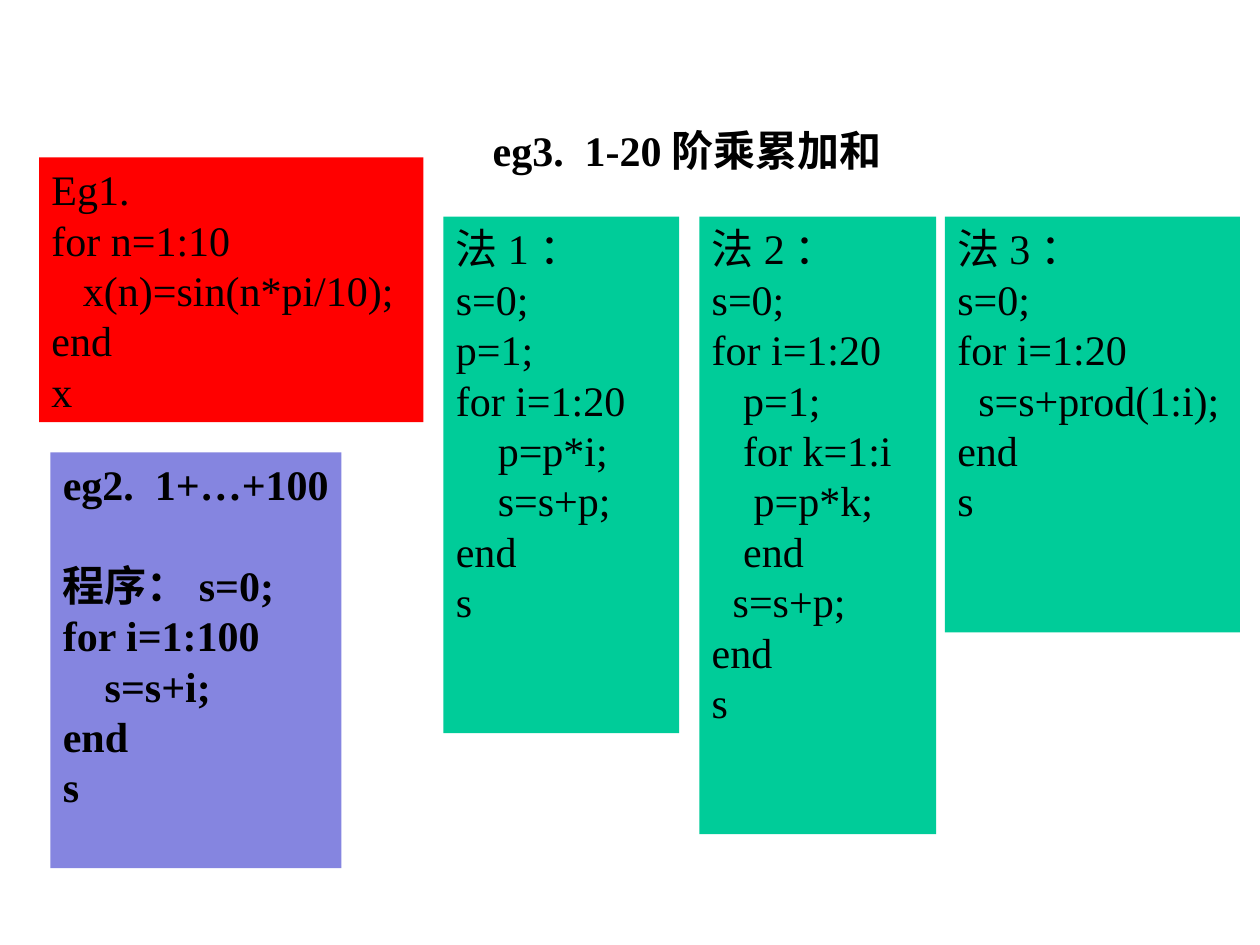
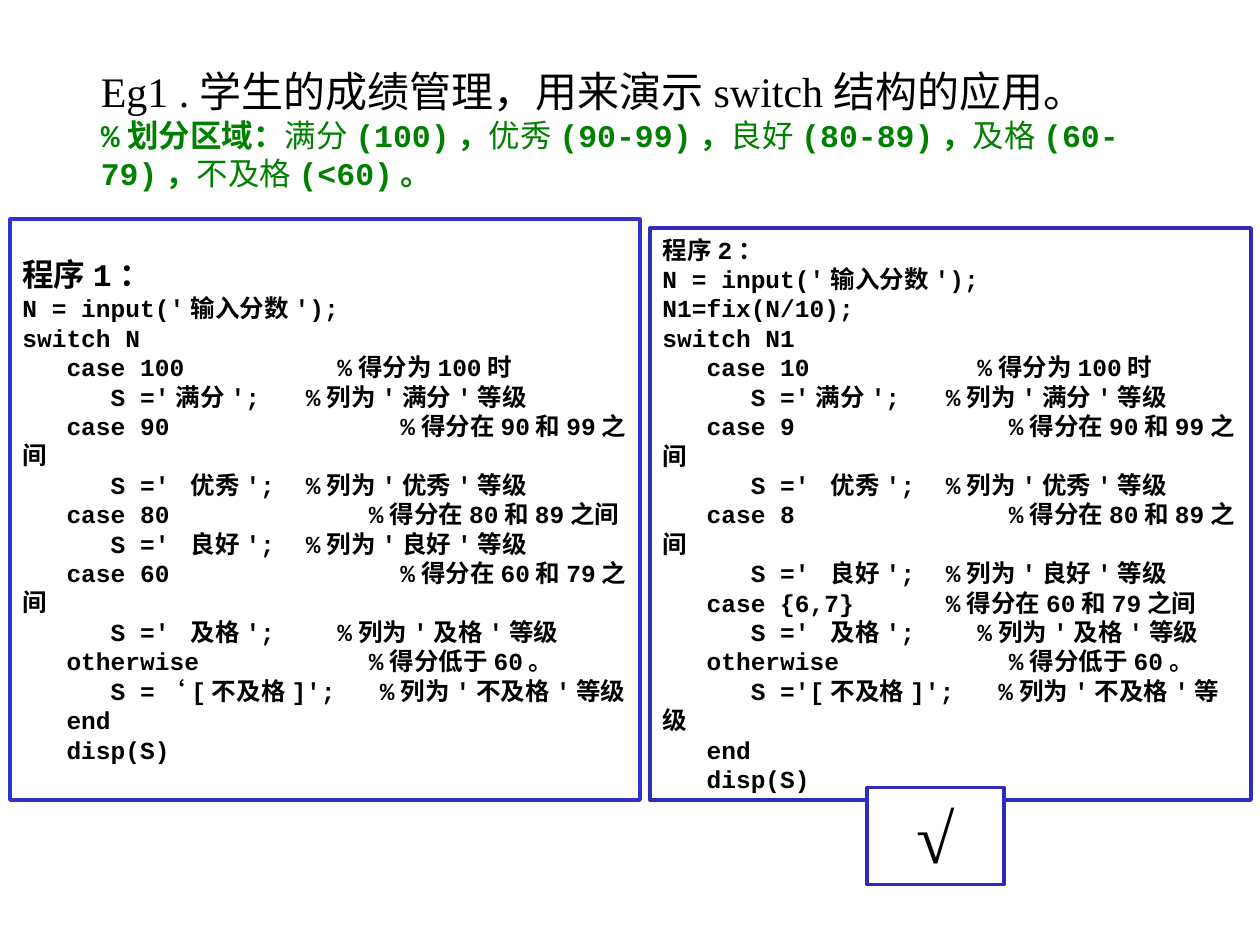
from lxml import etree
from pptx import Presentation
from pptx.dml.color import RGBColor
from pptx.enum.shapes import MSO_SHAPE
from pptx.enum.text import MSO_ANCHOR, MSO_AUTO_SIZE, PP_ALIGN
from pptx.oxml.ns import qn
from pptx.util import Inches, Pt

RECT = MSO_SHAPE.RECTANGLE
TOP, MIDDLE = MSO_ANCHOR.TOP, MSO_ANCHOR.MIDDLE
LEFT, CENTER = PP_ALIGN.LEFT, PP_ALIGN.CENTER
FIXED = MSO_AUTO_SIZE.NONE
SERIF, MONO = "Times New Roman", "Courier New"
TITLE_ONLY = 5
TAB_STEP, TAB_COUNT = 0.25, 16

COLORS = {
    "ink": "000000",
    "paper": "FFFFFF",
    "red": "FF0000",
    "violet": "8585E0",
    "teal": "00CC99",
    "green": "008000",
    "blue": "3333CC",
    "navy": "2D2DB9",
}


def color(name):
    return RGBColor.from_string(COLORS[name])


class Deck:
    """Holds the shared style and the current slide."""

    def __init__(self):
        self.prs = Presentation()
        self.prs.slide_width = Inches(10)
        self.prs.slide_height = Inches(7.5)
        self.slide = None

    def new(self):
        layout = self.prs.slide_layouts[TITLE_ONLY]
        self.slide = self.prs.slides.add_slide(layout)

    def style(self, run, size, font=SERIF, bold=False, ink="ink"):
        run.font.name = font
        run.font.size = Pt(size)
        run.font.bold = bold
        run.font.color.rgb = color(ink)

    def frame(self, shape, text, size, font=SERIF, bold=False,
              anchor=TOP, align=LEFT, wrap=True):
        frame = shape.text_frame
        frame.text = text
        frame.auto_size = FIXED
        frame.word_wrap = wrap
        frame.vertical_anchor = anchor
        for par in frame.paragraphs:
            par.alignment = align
            for run in par.runs:
                self.style(run, size, font, bold)
        return frame

    def title(self, at, text, **look):
        shape = self.slide.shapes.title
        shape.left, shape.top, shape.width, shape.height = map(Inches, at)
        return self.frame(shape, text, 24, **look)

    def box(self, at, text, size, fill="paper", line=None, **look):
        shape = self.slide.shapes.add_shape(RECT, *map(Inches, at))
        shape.shadow.inherit = False
        shape.fill.solid()
        shape.fill.fore_color.rgb = color(fill)
        if line:
            shape.line.color.rgb = color(line)
            shape.line.width = Pt(2)
        else:
            shape.line.fill.background()
        return self.frame(shape, text, size, **look)

    def code(self, at, text, line):
        frame = self.box(at, text, 14, line=line, font=MONO, bold=True,
                         anchor=MIDDLE)
        for par in frame.paragraphs:
            self.tabs(par)
        return frame

    def tabs(self, par):
        stops = etree.SubElement(par._p.get_or_add_pPr(), qn("a:tabLst"))
        for i in range(1, TAB_COUNT + 1):
            stop = etree.SubElement(stops, qn("a:tab"))
            stop.set("pos", str(Inches(i * TAB_STEP)))
            stop.set("algn", "l")


# Loop examples
SINE = """Eg1.
for n=1:10
   x(n)=sin(n*pi/10);
end
x"""

SUM = """eg2.  1+…+100
程序：s=0;
for i=1:100
    s=s+i;
end
s"""

# Left, width, height and code of each factorial method
METHODS = [
    (3.52, 1.87, 4.1, """法1：
s=0;
p=1;
for i=1:20
    p=p*i;
    s=s+p;
end
s"""),
    (5.55, 1.88, 4.9, """法2：
s=0;
for i=1:20
   p=1;
   for k=1:i
    p=p*k;
   end
  s=s+p;
end
s"""),
    (7.5, 2.34, 3.3, """法3：
s=0;
for i=1:20
  s=s+prod(1:i);
end
s"""),
]

# Switch example: the slots take case labels and the last opening quote
CASES = """
   case {}\t\t\t\t\t%得分为100时
      S ='满分';\t\t%列为'满分'等级
   case {}\t\t\t\t\t%得分在90和99之间
      S =' 优秀';  \t%列为'优秀'等级
   case {}\t\t\t\t\t%得分在80和89之间
      S =' 良好';  \t%列为'良好'等级
   case {}\t%得分在60和79之间
      S =' 及格';   \t%列为'及格'等级
   otherwise  \t\t\t\t\t%得分低于60。
      S ={}[不及格]';   %列为'不及格'等级
   end
   disp(S)"""

FIRST = "程序1：\nN = input('输入分数');\nswitch N" + CASES.format(
    "100 ", "90     ", "80    ", "60     \t\t\t\t", "‘")
SECOND = ("程序2：\nN = input('输入分数');\nN1=fix(N/10);\nswitch N1"
          + CASES.format("10 ", "9    ", "8    ", "{6,7}     ", "'"))

# Bold and plain parts take turns
GRADES = ["%划分区域：", "满分", "(100)，", "优秀", "(90-99)，", "良好",
          "(80-89)，", "及格", "(60-79)，", "不及格", "(<60)。"]


def loops(deck):
    deck.new()
    deck.title((3.81, 0.94, 3.29, 0.5), "eg3.  1-20阶乘累加和",
               bold=True, wrap=False)
    total = deck.box((0.4, 3.59, 2.31, 3.3), SUM, 24, "violet",
                     bold=True, wrap=False)
    total.paragraphs[1].space_before = Pt(28.8)
    for left, width, height, text in METHODS:
        deck.box((left, 1.72, width, height), text, 24, "teal")
    deck.box((0.31, 1.25, 3.05, 2.1), SINE, 24, "red")


def switch(deck):
    deck.new()
    # Heading with the grade bands
    head = deck.title((0.7, 0.47, 8.98, 1.1),
                      "Eg1 .学生的成绩管理，用来演示switch结构的应用。",
                      anchor=MIDDLE)
    bands = head.add_paragraph()
    bands.alignment = LEFT
    for i, part in enumerate(GRADES):
        run = bands.add_run()
        run.text = part
        deck.style(run, 18, MONO, i % 2 == 0, "green")

    # Two programs, the second one ticked
    first = deck.code((0.08, 1.74, 5, 4.61), FIRST, "blue")
    for run in first.paragraphs[0].runs:
        run.font.size = Pt(18)
    deck.code((5.16, 1.81, 4.77, 4.54), SECOND, "navy")
    deck.box((6.88, 6.25, 1.09, 0.77), "√", 40, line="navy", align=CENTER)


def main():
    deck = Deck()
    loops(deck)
    switch(deck)
    deck.prs.save("out.pptx")


if __name__ == "__main__":
    main()
